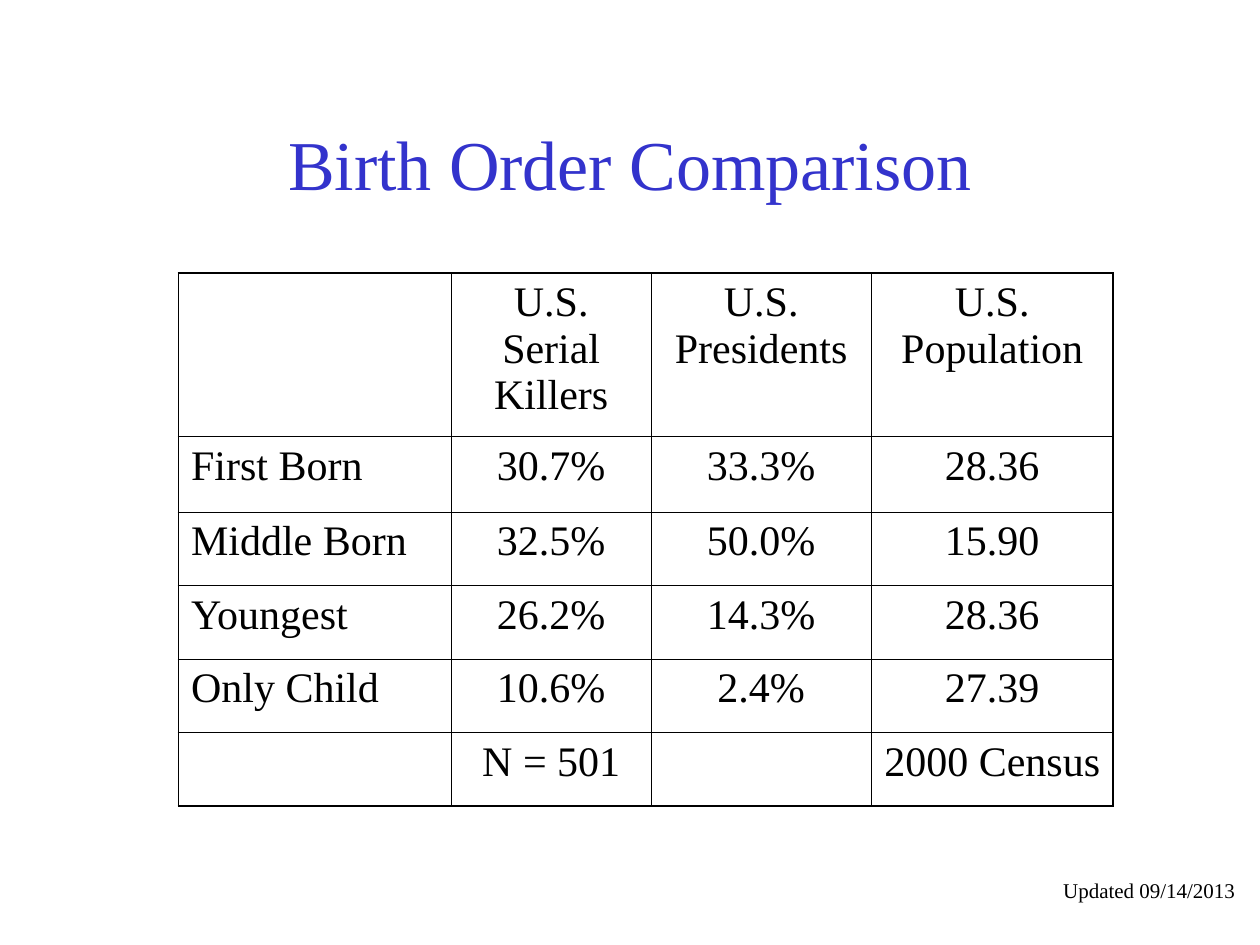
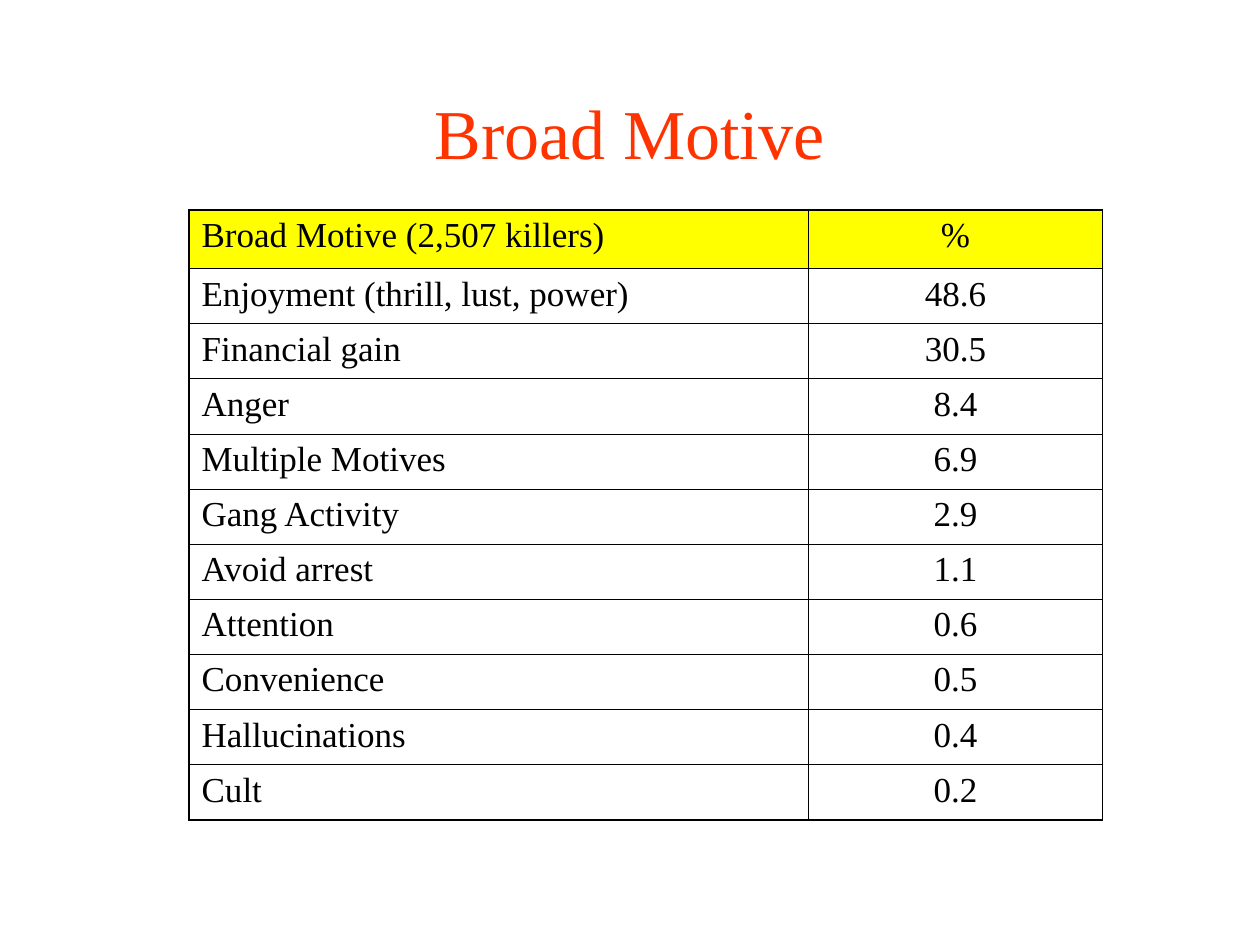
import lxml.etree
import pptx
import pptx.dml.color
import pptx.enum.text
import pptx.oxml.ns
import pptx.util

PX = 6350
FONT = "Times New Roman"
BLACK = "000000"
THICK = pptx.util.Pt(1.08)
THIN = pptx.util.Pt(0.45)
LEFT = pptx.enum.text.PP_ALIGN.LEFT
CENTER = pptx.enum.text.PP_ALIGN.CENTER
MIDDLE = pptx.enum.text.MSO_ANCHOR.MIDDLE
TOP = pptx.enum.text.MSO_ANCHOR.TOP


def color(value):
    return pptx.dml.color.RGBColor.from_string(value)


def write(text_frame, text, size, ink, alignment):
    paragraph = text_frame.paragraphs[0]
    paragraph.alignment = alignment
    run = paragraph.add_run()
    run.text = text
    for name, value in {"name": FONT, "size": pptx.util.Pt(size)}.items():
        setattr(run.font, name, value)
    run.font.color.rgb = color(ink)


presentation = pptx.Presentation()
presentation.slide_width = 1440 * PX
presentation.slide_height = 1080 * PX

pages = [
    {
        "title": "Birth Order Comparison",
        "title_height": 180,
        "title_color": "3333CC",
        "origin": (204, 312),
        "columns": [312, 228, 252, 276],
        "row_heights": [187, 86] + [84] * 4,
        "size": 24,
        "header_fill": None,
        "rows": [
            ["", "U.S. Serial Killers", "U.S. Presidents", "U.S. Population"],
            ["First Born", "30.7%", "33.3%", "28.36"],
            ["Middle Born", "32.5%", "50.0%", "15.90"],
            ["Youngest", "26.2%", "14.3%", "28.36"],
            ["Only Child", "10.6%", "2.4%", "27.39"],
            ["", "N = 501", "", "2000 Census"],
        ],
        "update_note": "Updated 09/14/2013",
    },
    {
        "title": "Broad Motive",
        "title_height": 108,
        "title_color": "FF3300",
        "origin": (216, 240),
        "columns": [708, 336],
        "row_heights": [67] + [63] * 10,
        "size": 20,
        "header_fill": "FFFF00",
        "rows": [
            ["Broad Motive (2,507 killers)", "%"],
            ["Enjoyment (thrill, lust, power)", "48.6"],
            ["Financial gain", "30.5"],
            ["Anger", "8.4"],
            ["Multiple Motives", "6.9"],
            ["Gang Activity", "2.9"],
            ["Avoid arrest", "1.1"],
            ["Attention", "0.6"],
            ["Convenience", "0.5"],
            ["Hallucinations", "0.4"],
            ["Cult", "0.2"],
        ],
        "update_note": None,
    },
]

for page in pages:
    slide = presentation.slides.add_slide(presentation.slide_layouts[6])

    labels = [(page["title"], (108, 96, 1224, page["title_height"]), 40,
               page["title_color"], CENTER, {"word_wrap": True, "vertical_anchor": MIDDLE})]
    if page["update_note"]:
        labels.append((page["update_note"], (1201, 996, 225, 43), 12,
                       BLACK, LEFT, {"word_wrap": False, "vertical_anchor": TOP}))
    for text, box, size, ink, alignment, frame_format in labels:
        shape = slide.shapes.add_textbox(*[length * PX for length in box])
        for name, value in frame_format.items():
            setattr(shape.text_frame, name, value)
        write(shape.text_frame, text, size, ink, alignment)

    rows, columns, heights = page["rows"], page["columns"], page["row_heights"]
    left, top = page["origin"]
    table = slide.shapes.add_table(
        len(rows), len(columns), left * PX, top * PX,
        sum(columns) * PX, sum(heights) * PX).table
    for name, value in {"first_row": False, "horz_banding": False}.items():
        setattr(table, name, value)
    for column, width in zip(table.columns, columns):
        column.width = width * PX
    for row, height in zip(table.rows, heights):
        row.height = height * PX

    for row_index, values in enumerate(rows):
        for column_index, value in enumerate(values):
            cell = table.cell(row_index, column_index)
            if value:
                write(cell.text_frame, value, page["size"], BLACK,
                      CENTER if column_index else LEFT)
            outer_edges = {
                "a:lnL": column_index == 0,
                "a:lnR": column_index == len(columns) - 1,
                "a:lnT": row_index == 0,
                "a:lnB": row_index == len(rows) - 1,
            }
            properties = cell._tc.get_or_add_tcPr()
            for tag, is_outer in outer_edges.items():
                line = lxml.etree.SubElement(
                    properties, pptx.oxml.ns.qn(tag), w=str(THICK if is_outer else THIN))
                fill = lxml.etree.SubElement(line, pptx.oxml.ns.qn("a:solidFill"))
                lxml.etree.SubElement(fill, pptx.oxml.ns.qn("a:srgbClr"), val=BLACK)
            if page["header_fill"] and row_index == 0:
                cell.fill.solid()
                cell.fill.fore_color.rgb = color(page["header_fill"])
            else:
                cell.fill.background()

presentation.save("out.pptx")
